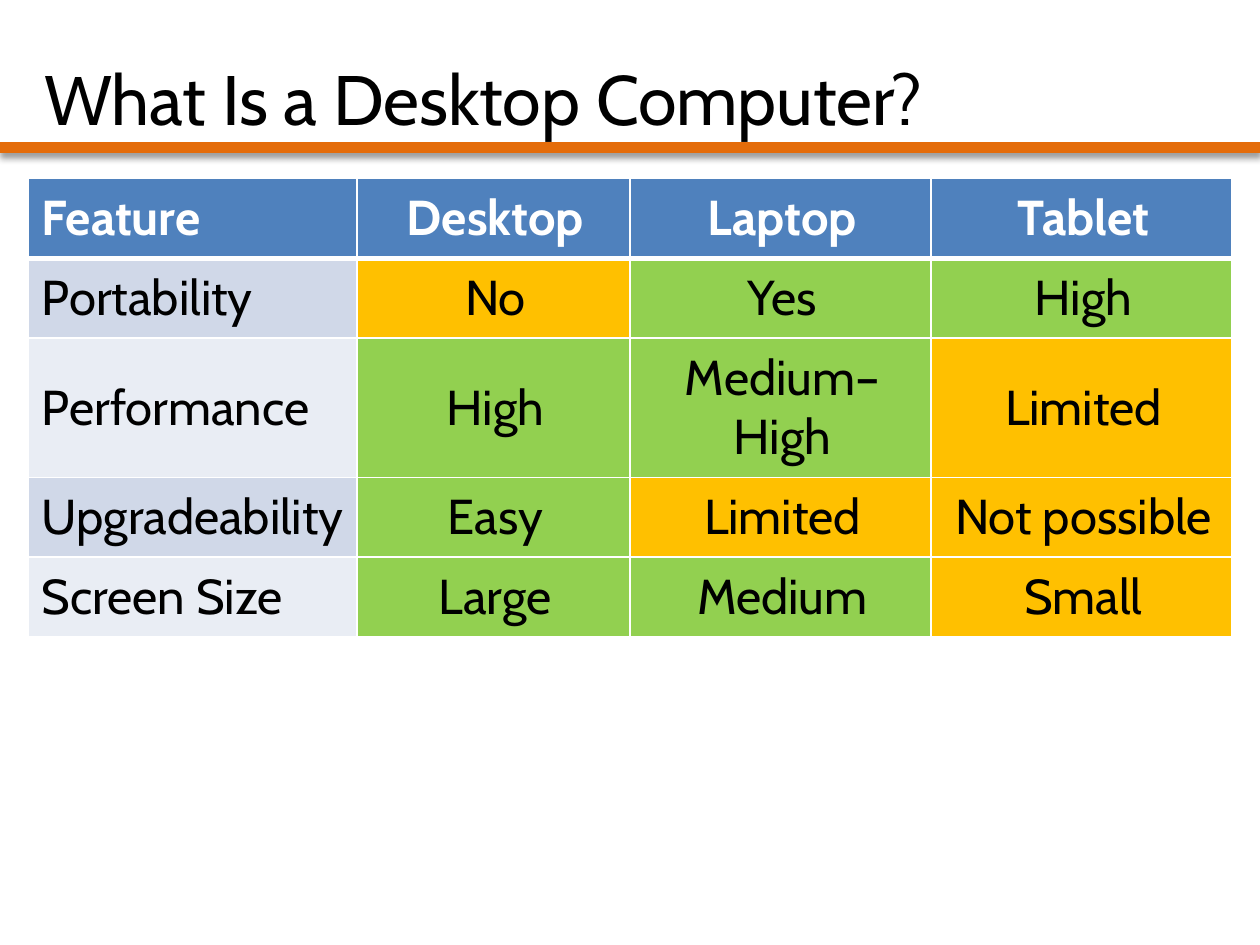
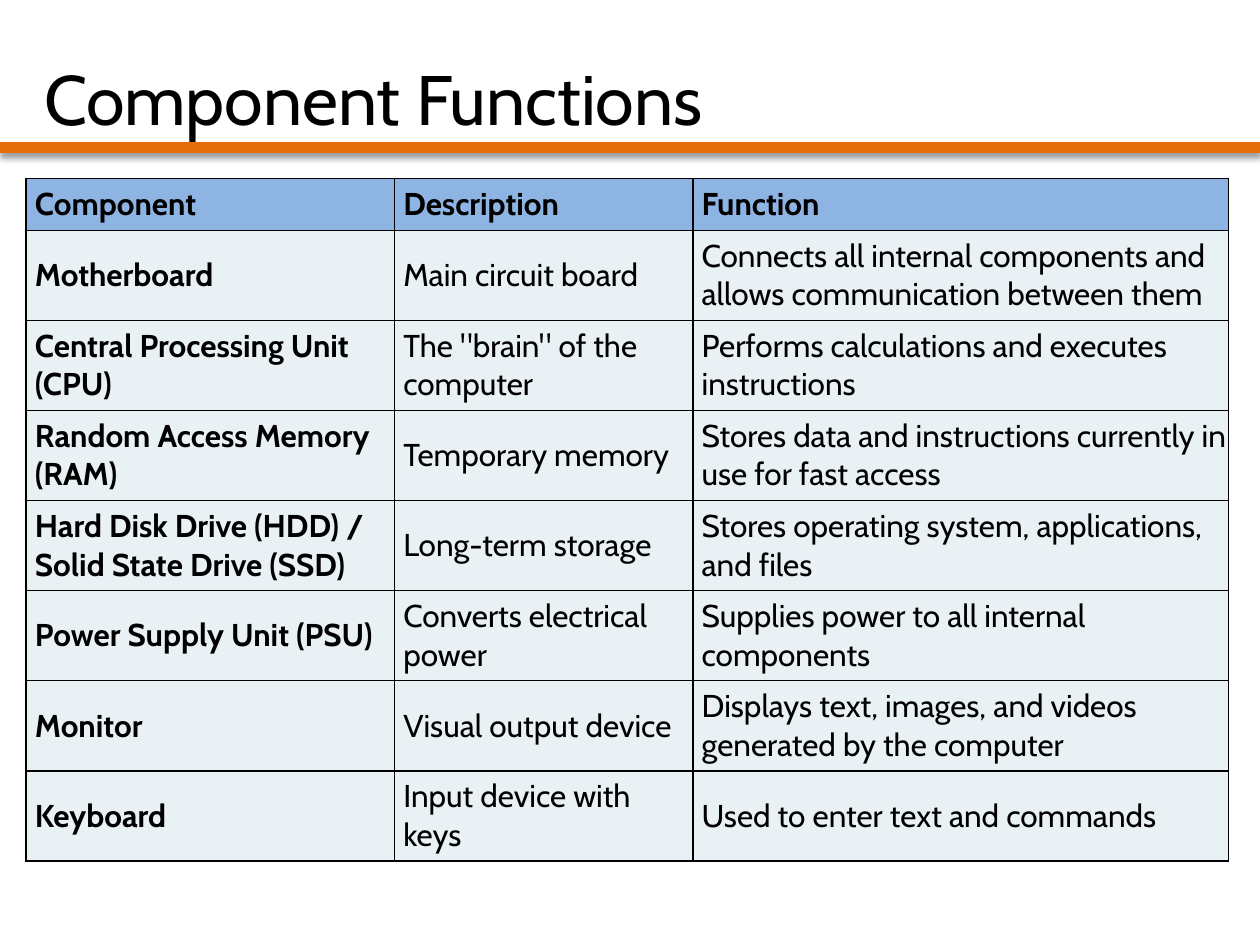
from lxml import etree
from pptx import Presentation
from pptx.dml.color import RGBColor
from pptx.enum import shapes, text
from pptx.oxml import ns
from pptx.util import Pt

FONT = "Cabin"
BLACK, WHITE, ORANGE = "000000", "FFFFFF", "E46C0A"
GOOD, WEAK = "92D050", "FFC000"
LEFT, CENTER = text.PP_ALIGN.LEFT, text.PP_ALIGN.CENTER
A = ns.nsdecls("a")


def paint(fill, color):
    fill.solid()
    fill.fore_color.rgb = RGBColor.from_string(color)


def write(tf, words, size=18, color=BLACK, bold=False, align=LEFT):
    tf.vertical_anchor = text.MSO_ANCHOR.MIDDLE
    p = tf.paragraphs[0]
    p.alignment = align
    r = p.add_run()
    r.text = words
    r.font.name, r.font.size, r.font.bold = FONT, Pt(size), bold
    paint(r.font.fill, color)


# Each table: contents, sizes and the look of its cells
comparison = dict(
    title="What Is a Desktop Computer?",
    rows=[
        ["Feature", "Desktop", "Laptop", "Tablet"],
        ["Portability", "No", "Yes", "High"],
        ["Performance", "High", "Medium–High", "Limited"],
        ["Upgradeability", "Easy", "Limited", "Not possible"],
        ["Screen Size", "Large", "Medium", "Small"],
    ],
    left=16, widths=[188, 156, 172, 172], heights=[45, 45, 79, 45, 45],
    margins=(8, 5.8, 5.8, 5.8), size=28, border=WHITE, header_rule=3,
    header_fill="4F81BD", header_color=WHITE, label_fills=["E9EDF4", "D0D8E8"],
    label_bold=False, value_align=CENTER,
    value_fill=lambda v: WEAK if v in ("No", "Limited", "Not possible", "Small") else GOOD,
)
components = dict(
    title="Component Functions",
    rows=[
        ["Component", "Description", "Function"],
        ["Motherboard", "Main circuit board",
         "Connects all internal components and allows communication between them"],
        ["Central Processing Unit (CPU)", 'The "brain" of the computer',
         "Performs calculations and executes instructions"],
        ["Random Access Memory (RAM)", "Temporary memory",
         "Stores data and instructions currently in use for fast access"],
        ["Hard Disk Drive (HDD) / Solid State Drive (SSD)", "Long-term storage",
         "Stores operating system, applications, and files"],
        ["Power Supply Unit (PSU)", "Converts electrical power",
         "Supplies power to all internal components"],
        ["Monitor", "Visual output device",
         "Displays text, images, and videos generated by the computer"],
        ["Keyboard", "Input device with keys", "Used to enter text and commands"],
    ],
    left=15, widths=[210.5, 170.5, 306], heights=[29.6] + [51.5] * 7,
    margins=(5, 3.6, 1, 3.6), size=18, border=BLACK, header_rule=1,
    header_fill="8EB4E3", header_color=BLACK, label_fills=["E9F1F5"] * 2,
    label_bold=True, value_align=LEFT,
    value_fill=lambda v: "E9F1F5",
)

prs = Presentation()
prs.slide_width, prs.slide_height = Pt(720), Pt(540)

# The layout holds the title position and the orange band
layout = prs.slide_layouts[5]
title = layout.placeholders[0]
title.left, title.top, title.width, title.height = Pt(18), Pt(21.6), Pt(612), Pt(68.4)

for spec_no, t in enumerate([comparison, components]):
    s = prs.slides.add_slide(layout)
    write(s.shapes.title.text_frame, t["title"], size=40)

    if spec_no == 0:
        band = s.shapes.add_connector(shapes.MSO_CONNECTOR.STRAIGHT, 0, Pt(84.2), Pt(720), Pt(84.2))
        band.line.width = Pt(6)
        paint(band.line.fill, ORANGE)
        band._element.spPr.append(etree.fromstring(
            f'<a:effectLst {A}><a:outerShdw blurRad="{Pt(4)}" dist="{Pt(3)}" dir="5400000" rotWithShape="0">'
            f'<a:srgbClr val="{BLACK}"><a:alpha val="40000"/></a:srgbClr></a:outerShdw></a:effectLst>'))
        band._element.nvCxnSpPr.cNvPr.id = 20
        layout.shapes._spTree.append(band._element)

    rows, widths, heights = t["rows"], t["widths"], t["heights"]
    table = s.shapes.add_table(len(rows), len(widths), Pt(t["left"]), Pt(102),
                               Pt(sum(widths)), Pt(sum(heights))).table
    table.horz_banding = False
    for column, width in zip(table.columns, widths):
        column.width = Pt(width)

    for i, row in enumerate(rows):
        table.rows[i].height = Pt(heights[i])
        for j, words in enumerate(row):
            cell = table.cell(i, j)
            (cell.margin_left, cell.margin_top,
             cell.margin_right, cell.margin_bottom) = map(Pt, t["margins"])
            header, label = i == 0, j == 0
            write(cell.text_frame, words, size=t["size"],
                  color=t["header_color"] if header else BLACK,
                  bold=header or (label and t["label_bold"]),
                  align=LEFT if label else t["value_align"])
            cell.vertical_anchor = text.MSO_ANCHOR.MIDDLE

            # Borders come before the fill in the cell properties
            for side in "LRTB":
                under_header = (i, side) in ((0, "B"), (1, "T"))
                weight = Pt(t["header_rule"] if under_header else 1)
                cell._tc.get_or_add_tcPr().append(etree.fromstring(
                    f'<a:ln{side} {A} w="{weight}"><a:solidFill>'
                    f'<a:srgbClr val="{t["border"]}"/></a:solidFill></a:ln{side}>'))

            if header:
                paint(cell.fill, t["header_fill"])
            elif label:
                paint(cell.fill, t["label_fills"][i % 2])
            else:
                paint(cell.fill, t["value_fill"](words))

prs.save("out.pptx")
